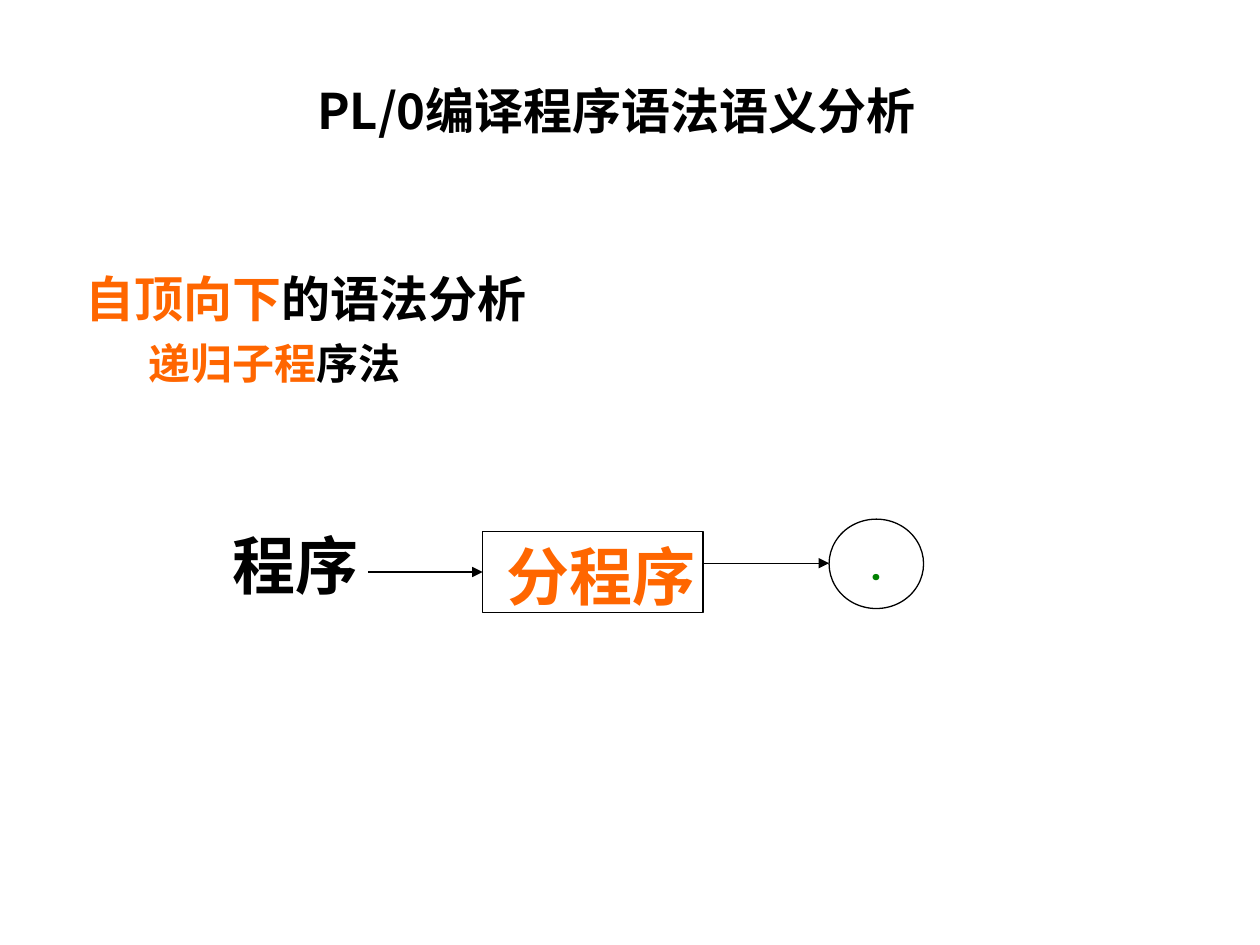
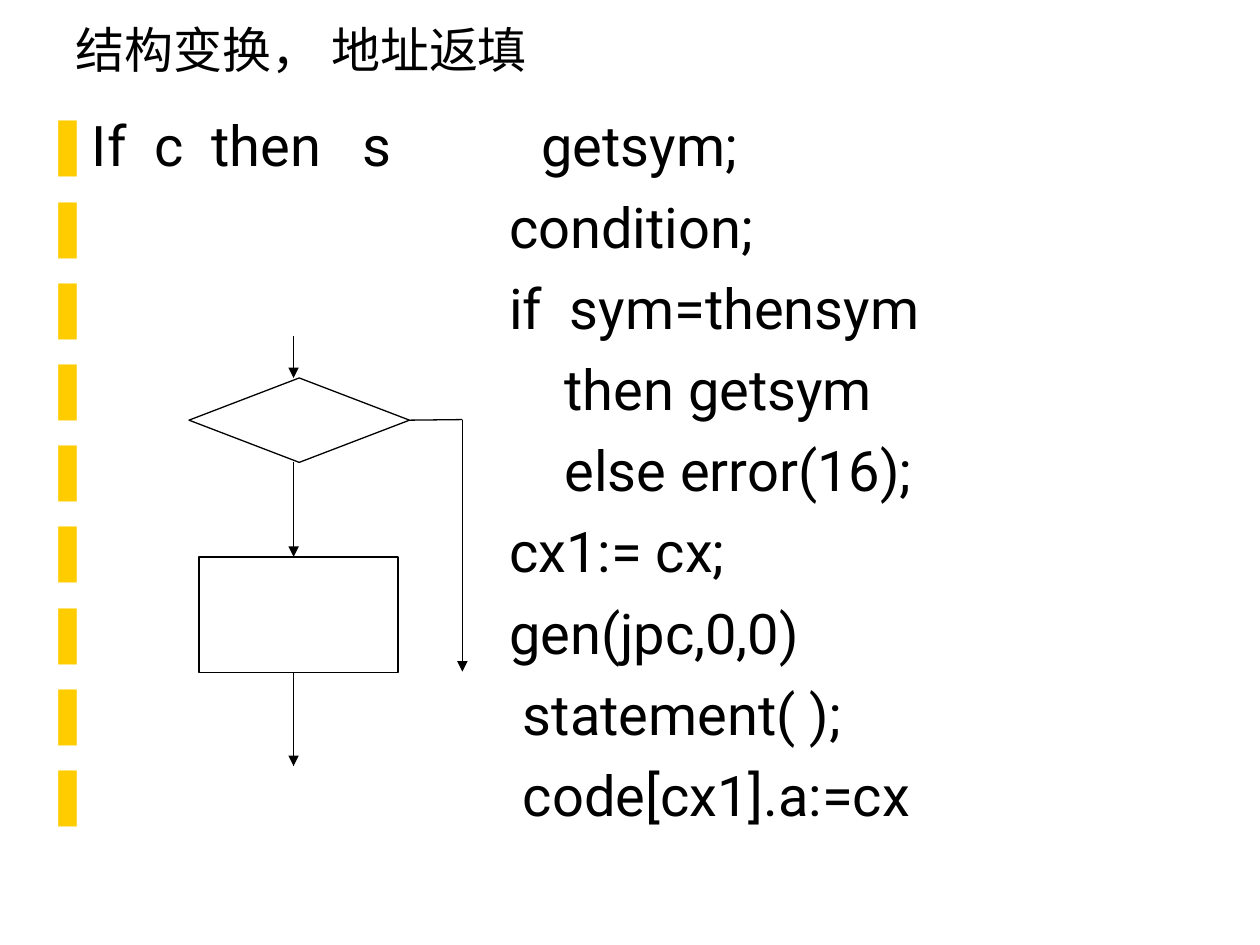
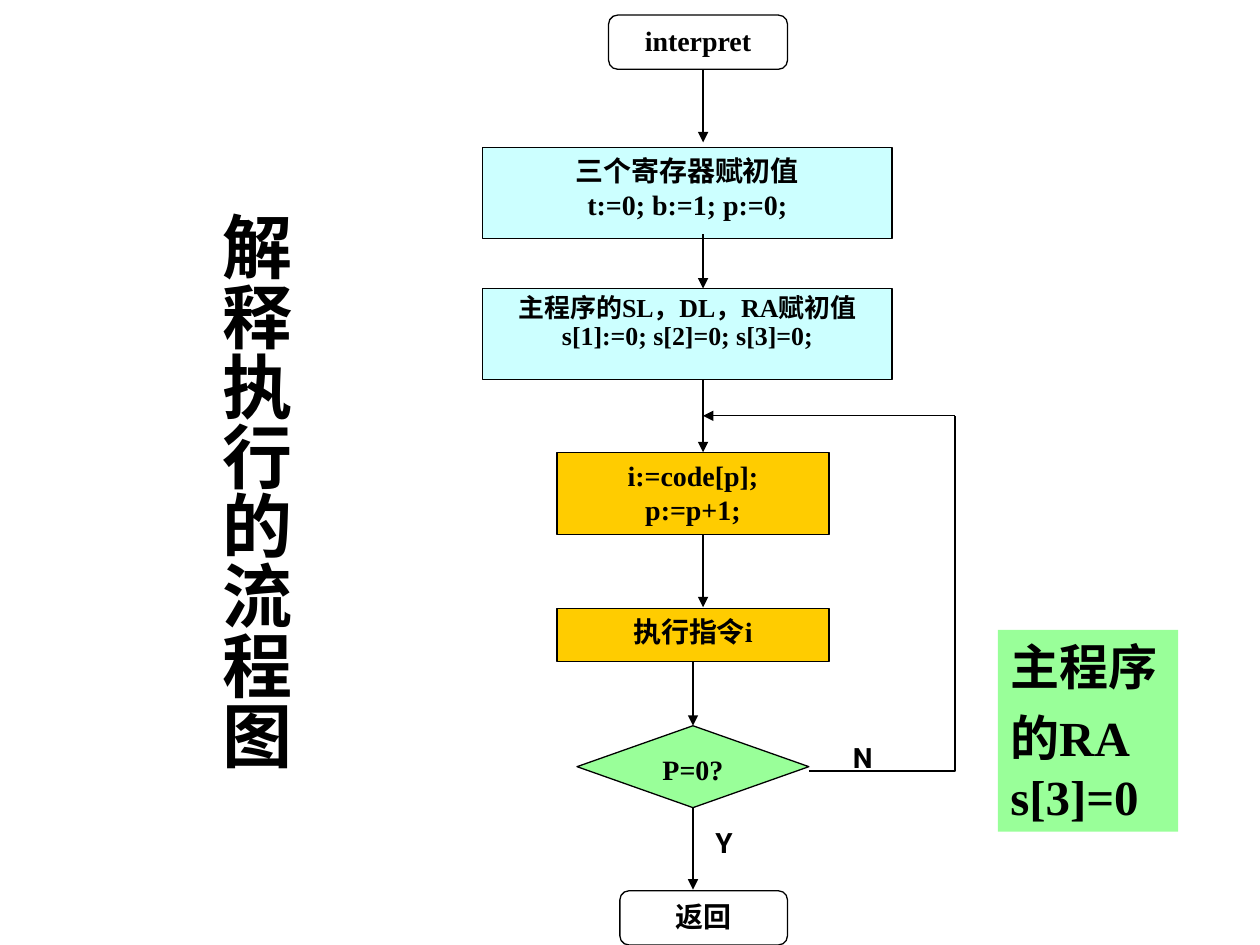
import pptx
import pptx.dml.color
import pptx.enum.shapes
import pptx.enum.text
import pptx.oxml
import pptx.oxml.ns
import pptx.util

Inches = pptx.util.Inches
Pt = pptx.util.Pt
RGB = pptx.dml.color.RGBColor.from_string
SHAPE = pptx.enum.shapes.MSO_SHAPE
ALIGN = pptx.enum.text.PP_ALIGN
ANCHOR = pptx.enum.text.MSO_ANCHOR
qn = pptx.oxml.ns.qn

THEME = {
    "black": "000000", "white": "FFFFFF", "orange": "FF6600", "yellow": "FFCC00",
    "cyan": "CCFFFF", "green": "99FF99", "dark_green": "008000",
    "cjk": "Noto Sans CJK SC", "sans": "Roboto", "serif": "Times New Roman",
    "title_latin": "Montserrat",
    "vertical_title": 40, "term": 36, "code": 32, "title": 28, "sub": 24,
    "label": 16, "small_label": 14.8, "line": 0.75,
}


def write_text(shape, paragraphs, size, font, bold=True, color="black",
               align=ALIGN.LEFT, anchor=ANCHOR.TOP, space=0, spacing=1.0, wrap=True):
    """Fill a shape; each paragraph is a list of (text, colour) runs or a plain string."""
    frame = shape.text_frame
    frame_format = {"word_wrap": wrap, "vertical_anchor": anchor,
                    "auto_size": pptx.enum.text.MSO_AUTO_SIZE.NONE}
    for name, value in frame_format.items():
        setattr(frame, name, value)
    for number, runs in enumerate(paragraphs):
        paragraph = frame.add_paragraph() if number else frame.paragraphs[0]
        paragraph_format = {"alignment": align, "line_spacing": spacing, "space_after": Pt(0),
                            "space_before": Pt(space if number else 0)}
        for name, value in paragraph_format.items():
            setattr(paragraph, name, value)
        for text, run_color in [(runs, color)] if isinstance(runs, str) else runs:
            run = paragraph.add_run()
            run.text = text
            for name, value in {"size": Pt(size), "name": font, "bold": bold}.items():
                setattr(run.font, name, value)
            run.font.color.rgb = RGB(THEME[run_color])
            east_asian = pptx.oxml.parse_xml(
                f'<a:ea {pptx.oxml.ns.nsdecls("a")} typeface="{THEME["cjk"]}"/>')
            run.font._element.find(qn("a:latin")).addnext(east_asian)


def add_outlined(slide, kind, box, fill=None, outlined=True):
    shape = slide.shapes.add_shape(kind, *map(Inches, box))
    shape.shadow.inherit = False
    if fill:
        shape.fill.solid()
        shape.fill.fore_color.rgb = RGB(THEME[fill])
    else:
        shape.fill.background()
    if outlined:
        shape.line.color.rgb = RGB(THEME["black"])
        shape.line.width = Pt(THEME["line"])
    else:
        shape.line.fill.background()
    return shape


presentation = pptx.Presentation()
presentation.slide_width, presentation.slide_height = Inches(10), Inches(7.5)
layouts = presentation.slide_layouts
syntax_slide, patch_slide, interpret_slide = [
    presentation.slides.add_slide(layouts[number]) for number in (1, 1, 5)]

placeholder_boxes = [
    (syntax_slide.shapes.title, (0.75, 0.25, 8.28, 1.33)),
    (syntax_slide.placeholders[1], (0.58, 2.08, 8.67, 4.35)),
    (patch_slide.shapes.title, (0.5, 0.25, 8.44, 0.42)),
    (patch_slide.placeholders[1], (0.25, 0.83, 9.08, 6.15)),
    (interpret_slide.shapes.title, (1.55, 1.58, 0.86, 4.75)),
]
for placeholder, box in placeholder_boxes:
    for name, value in zip(("left", "top", "width", "height"), box):
        setattr(placeholder, name, Inches(value))

# Slide 1: syntax analysis
title = syntax_slide.shapes.title
write_text(title, ["PL/0编译程序语法语义分析"], THEME["title"], THEME["cjk"],
           align=ALIGN.CENTER, anchor=ANCHOR.BOTTOM)
title.text_frame.margin_bottom = Inches(0.47)

body = syntax_slide.placeholders[1]
write_text(body, [[("自顶向下", "orange"), ("的语法分析", "black")],
                  [("递归子程", "orange"), ("序法", "black")]],
           THEME["title"], THEME["cjk"], space=6)
indents = [(0, 0.38, -0.38), (1, 0.81, -0.31)]
for paragraph, (level, margin, indent) in zip(body.text_frame.paragraphs, indents):
    paragraph.level = level
    properties = paragraph._p.get_or_add_pPr()
    properties.set("marL", str(Inches(margin)))
    properties.set("indent", str(Inches(indent)))
    properties.append(pptx.oxml.parse_xml(f'<a:buNone {pptx.oxml.ns.nsdecls("a")}/>'))
for run in body.text_frame.paragraphs[1].runs:
    run.font.size = Pt(THEME["sub"])

for text, box, color in [("程序", (1.75, 4.13, 1.2, 0.7), "black"),
                         ("分程序", (3.92, 4.22, 1.75, 0.7), "orange")]:
    term = syntax_slide.shapes.add_textbox(*map(Inches, box))
    write_text(term, [text], THEME["term"], THEME["cjk"], color=color, wrap=False)
block = add_outlined(syntax_slide, SHAPE.RECTANGLE, (3.83, 4.22, 1.75, 0.64))
period = add_outlined(syntax_slide, SHAPE.OVAL, (6.58, 4.12, 0.75, 0.71))
write_text(period, ["."], THEME["sub"], THEME["sans"], color="dark_green",
           align=ALIGN.CENTER, anchor=ANCHOR.MIDDLE)

# Slide 2: back-patching
write_text(patch_slide.shapes.title, ["结构变换， 地址返填"], THEME["title"],
           THEME["title_latin"], bold=False, anchor=ANCHOR.BOTTOM)
code_lines = [
    ("If  c  then   s", 0.38),
    ("condition;", 3.69),
    ("if  sym=thensym", 3.69),
    ("then getsym", 4.13),
    ("else error(16);", 4.13),
    ("cx1:= cx;", 3.69),
    ("gen(jpc,0,0)", 3.69),
    ("statement( );", 3.8),
    ("code[cx1].a:=cx", 3.8),
]
body = patch_slide.placeholders[1]
write_text(body, [text for text, margin in code_lines], THEME["code"], THEME["sans"],
           bold=False, space=8)
for paragraph, (text, margin) in zip(body.text_frame.paragraphs, code_lines):
    properties = paragraph._p.get_or_add_pPr()
    properties.set("marL", str(Inches(margin)))
    properties.set("indent", str(-Inches(margin)))
    for bullet in (f'<a:buClr {{}}><a:srgbClr val="{THEME["yellow"]}"/></a:buClr>',
                   '<a:buChar {} char="❚"/>'):
        properties.append(pptx.oxml.parse_xml(bullet.format(pptx.oxml.ns.nsdecls("a"))))
first_call = patch_slide.shapes.add_textbox(
    Inches(4.2), Inches(0.83), Inches(2.2), Inches(0.62))
write_text(first_call, ["getsym;"], THEME["code"], THEME["sans"], bold=False)

condition = add_outlined(patch_slide, SHAPE.FLOWCHART_DECISION, (1.5, 3, 1.75, 0.67))
add_outlined(patch_slide, SHAPE.RECTANGLE, (1.58, 4.42, 1.58, 0.92))

# Slide 3: interpreter flow chart
title = interpret_slide.shapes.title
write_text(title, ["解释执行的流程图"], THEME["vertical_title"], THEME["serif"],
           align=ALIGN.CENTER)
title.text_frame._txBody.bodyPr.set("vert", "eaVert")
for side, margin in {"left": 0.05, "right": 0.05, "top": 0.1, "bottom": 0.1}.items():
    setattr(title.text_frame, f"margin_{side}", Inches(margin))

terminal, process = SHAPE.FLOWCHART_ALTERNATE_PROCESS, SHAPE.FLOWCHART_PROCESS
steps = {
    "start": (terminal, (4.83, 0.12, 1.42, 0.43), "white", ["interpret"]),
    "registers": (process, (3.83, 1.17, 3.25, 0.72), "cyan",
                  ["三个寄存器赋初值", "t:=0; b:=1; p:=0;"]),
    "links": (process, (3.83, 2.29, 3.25, 0.72), "cyan",
              ["主程序的SL，DL，RA赋初值", "s[1]:=0; s[2]=0; s[3]=0;"]),
    "fetch": (process, (4.42, 3.59, 2.16, 0.65), "yellow", ["i:=code[p];", "p:=p+1;"]),
    "execute": (process, (4.42, 4.83, 2.16, 0.42), "yellow", ["执行指令i"]),
    "test": (SHAPE.FLOWCHART_DECISION, (4.58, 5.76, 1.84, 0.65), "green", ["P=0?"]),
    "return": (terminal, (4.92, 7.07, 1.33, 0.43), "white", ["返回"]),
}
step_shapes = {}
for name, (kind, box, fill, lines) in steps.items():
    step_shapes[name] = add_outlined(interpret_slide, kind, box, fill)
    size, spacing = (THEME["small_label"], 0.9) if name == "links" else (THEME["label"], 1.0)
    write_text(step_shapes[name], lines, size, THEME["serif"], align=ALIGN.CENTER,
               spacing=spacing)

builder = interpret_slide.shapes.build_freeform(Inches(6.42), Inches(6.12))
builder.add_line_segments([(Inches(7.58), Inches(6.12)), (Inches(7.58), Inches(3.3))],
                          close=False)
loop_back = builder.convert_to_shape()
loop_back.shadow.inherit = False
loop_back.fill.background()
loop_back.line.color.rgb = RGB(THEME["black"])
loop_back.line.width = Pt(THEME["line"])

for text, box in [("N", (6.67, 5.83, 0.5, 0.37)), ("Y", (5.58, 6.5, 0.42, 0.37))]:
    branch = interpret_slide.shapes.add_textbox(*map(Inches, box))
    write_text(branch, [text], THEME["label"], THEME["sans"])
note = add_outlined(interpret_slide, SHAPE.RECTANGLE, (7.92, 5, 1.43, 1.6), "green",
                    outlined=False)
write_text(note, ["主程序", "的RA s[3]=0"], THEME["title"], THEME["serif"], space=7)

# Lines of all slides: ends, arrowhead, and the (shape, side) joined at each end
execute, test = step_shapes["execute"], step_shapes["test"]
links = [
    (syntax_slide, (2.92, 4.54, 3.83, 4.54), True, None, (block, 1)),
    (syntax_slide, (5.58, 4.47, 6.58, 4.47), True, None, None),
    (patch_slide, (2.33, 2.67, 2.33, 3), True, None, None),
    (patch_slide, (2.33, 3.67, 2.33, 4.42), True, None, None),
    (patch_slide, (3.67, 3.33, 3.67, 5.33), True, None, None),
    (patch_slide, (2.33, 5.33, 2.33, 6.08), False, None, None),
    (patch_slide, (3.25, 3.33, 3.67, 3.33), False, (condition, 3), None),
    (patch_slide, (2.33, 5.83, 2.33, 6.08), True, None, None),
    (interpret_slide, (5.58, 0.55, 5.58, 1.13), True, None, None),
    (interpret_slide, (5.58, 1.86, 5.58, 2.29), True, None, None),
    (interpret_slide, (5.58, 3.01, 5.58, 3.59), True, None, None),
    (interpret_slide, (5.58, 4.24, 5.58, 4.82), True, None, None),
    (interpret_slide, (5.5, 5.25, 5.5, 5.76), True, (execute, 2), (test, 0)),
    (interpret_slide, (5.5, 6.41, 5.5, 7.06), True, (test, 2), None),
    (interpret_slide, (7.58, 3.3, 5.58, 3.3), True, None, None),
]
for slide, ends, arrow, begin, end in links:
    connector = slide.shapes.add_connector(
        pptx.enum.shapes.MSO_CONNECTOR.STRAIGHT, *map(Inches, ends))
    if begin:
        connector.begin_connect(*begin)
    if end:
        connector.end_connect(*end)
    connector.line.color.rgb = RGB(THEME["black"])
    connector.line.width = Pt(THEME["line"])
    if arrow:
        connector.line._get_or_add_ln().append(pptx.oxml.parse_xml(
            f'<a:tailEnd {pptx.oxml.ns.nsdecls("a")} type="triangle"/>'))
    connector._element.spPr.append(pptx.oxml.parse_xml(
        f'<a:effectLst {pptx.oxml.ns.nsdecls("a")}/>'))

presentation.save("out.pptx")
